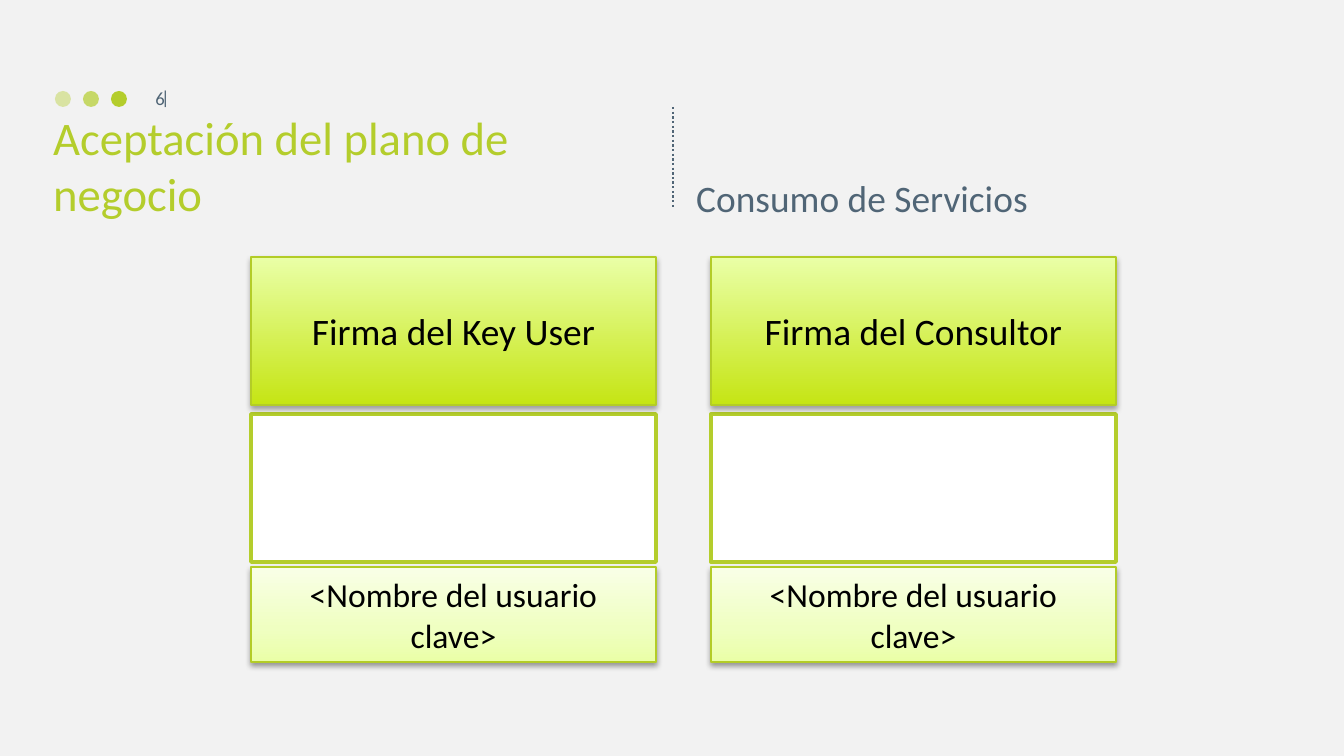
import pptx
import pptx.util
import pptx.dml.color
import pptx.enum.dml
import pptx.enum.shapes
import pptx.enum.text
import pptx.oxml.ns
from lxml import etree

PX = 9144000 / 1344  # EMU per px
RGB = pptx.dml.color.RGBColor
LIME = RGB(0xB4, 0xCD, 0x2C)
EDGE = RGB(0xB3, 0xCC, 0x27)
SLATE = RGB(0x50, 0x65, 0x76)
PAPER = RGB(0xF2, 0xF2, 0xF2)
WHITE = RGB(0xFF, 0xFF, 0xFF)
BLACK = RGB(0, 0, 0)
STRONG = RGB(0xC5, 0xE5, 0x14)
SOFT = RGB(0xEA, 0xFF, 0xA7)
PALE = RGB(0xEF, 0xFF, 0xC1)
PALEST = RGB(0xF9, 0xFF, 0xE7)

ALIGN = pptx.enum.text.PP_ALIGN
ANCHOR = pptx.enum.text.MSO_ANCHOR
SHAPE = pptx.enum.shapes.MSO_SHAPE
qn = pptx.oxml.ns.qn

deck = pptx.Presentation()
deck.slide_width = round(1344 * PX)
deck.slide_height = round(756 * PX)
slide = deck.slides.add_slide(deck.slide_layouts[6])
slide.background.fill.solid()
slide.background.fill.fore_color.rgb = PAPER


def add_block(kind, *box):
    """Add a preset shape, or a text box when kind is None."""
    left, top, width, height = (round(v * PX) for v in box)
    if kind is None:
        return slide.shapes.add_textbox(left, top, width, height)
    block = slide.shapes.add_shape(kind, left, top, width, height)
    block.shadow.inherit = False
    return block


def write(block, text, size, color, align, anchor):
    frame = block.text_frame
    frame.word_wrap = True
    frame.vertical_anchor = anchor
    paragraph = frame.paragraphs[0]
    paragraph.text = text
    paragraph.alignment = align
    font = paragraph.runs[0].font
    font.name = "Calibri"
    font.size = pptx.util.Pt(size)
    font.color.rgb = color


# Three dots, fading to the left
for i, opacity in enumerate((40, 70, 100)):
    dot = add_block(SHAPE.OVAL, 55 + 28 * i, 91, 16, 16)
    dot.fill.solid()
    dot.fill.fore_color.rgb = LIME
    dot.line.fill.background()
    if opacity < 100:
        tint = dot.fill._xPr.find(qn("a:solidFill"))[0]
        etree.SubElement(tint, qn("a:alpha"), val=str(opacity * 1000))

# Dotted divider
divider = slide.shapes.add_connector(
    pptx.enum.shapes.MSO_CONNECTOR.STRAIGHT,
    *(round(v * PX) for v in (673, 107, 673, 208)))
divider.line.color.rgb = SLATE
divider.line.width = pptx.util.Pt(1.25)
divider.line.dash_style = pptx.enum.dml.MSO_LINE.ROUND_DOT
etree.SubElement(divider._element.spPr, qn("a:effectLst"))

# Page number and its bar
bar = add_block(None, 161, 89, 8, 20)
write(bar, "|", 10, SLATE, ALIGN.LEFT, ANCHOR.TOP)
bar.text_frame.word_wrap = False
bar.text_frame.paragraphs[0].line_spacing = 0.5
write(add_block(None, 116, 78, 62, 40), "6", 10, SLATE, ALIGN.RIGHT, ANCHOR.MIDDLE)

# Title and subtitle
write(add_block(None, 40, 101, 617, 126), "Aceptación del plano de negocio",
      25, LIME, ALIGN.LEFT, ANCHOR.BOTTOM)
write(add_block(None, 683, 101, 594, 126), "Consumo de Servicios",
      20, SLATE, ALIGN.LEFT, ANCHOR.BOTTOM)

# Signature columns: heading, empty signing box, name
HEADING_STOPS = ((0, STRONG), (100, SOFT))
NAME_STOPS = ((0, SOFT), (35, PALE), (100, PALEST))
for left, heading in ((251, "Firma del Key User"), (711, "Firma del Consultor")):
    signing_box = add_block(SHAPE.RECTANGLE, left, 414, 405, 148)
    signing_box.fill.solid()
    signing_box.fill.fore_color.rgb = WHITE
    signing_box.line.color.rgb = LIME
    signing_box.line.width = pptx.util.Pt(2)

    for top, height, text, size, stops, opacity, drop in (
            (257, 148, heading, 20, HEADING_STOPS, 35, 1.8),
            (567, 95, "<Nombre del usuario clave>", 18, NAME_STOPS, 38, 1.6)):
        card = add_block(SHAPE.RECTANGLE, left, top, 405, height)
        card.line.color.rgb = EDGE
        card.line.width = pptx.util.Pt(0.75)
        write(card, text, size, BLACK, ALIGN.CENTER, ANCHOR.MIDDLE)

        # Gradient running from bottom to top
        card.fill.gradient()
        card.fill.gradient_angle = 90
        stop_list = card._element.spPr.find(qn("a:gradFill")).find(qn("a:gsLst"))
        for old_stop in list(stop_list):
            stop_list.remove(old_stop)
        for position, color in stops:
            stop = etree.SubElement(stop_list, qn("a:gs"), pos=str(position * 1000))
            etree.SubElement(stop, qn("a:srgbClr"), val=str(color))

        # Soft shadow straight below
        shadow = etree.SubElement(
            card._element.spPr.find(qn("a:effectLst")), qn("a:outerShdw"),
            blurRad=str(pptx.util.Pt(3.1)), dist=str(pptx.util.Pt(drop)),
            dir="5400000", rotWithShape="0")
        shade = etree.SubElement(shadow, qn("a:srgbClr"), val=str(BLACK))
        etree.SubElement(shade, qn("a:alpha"), val=str(opacity * 1000))

deck.save("out.pptx")
